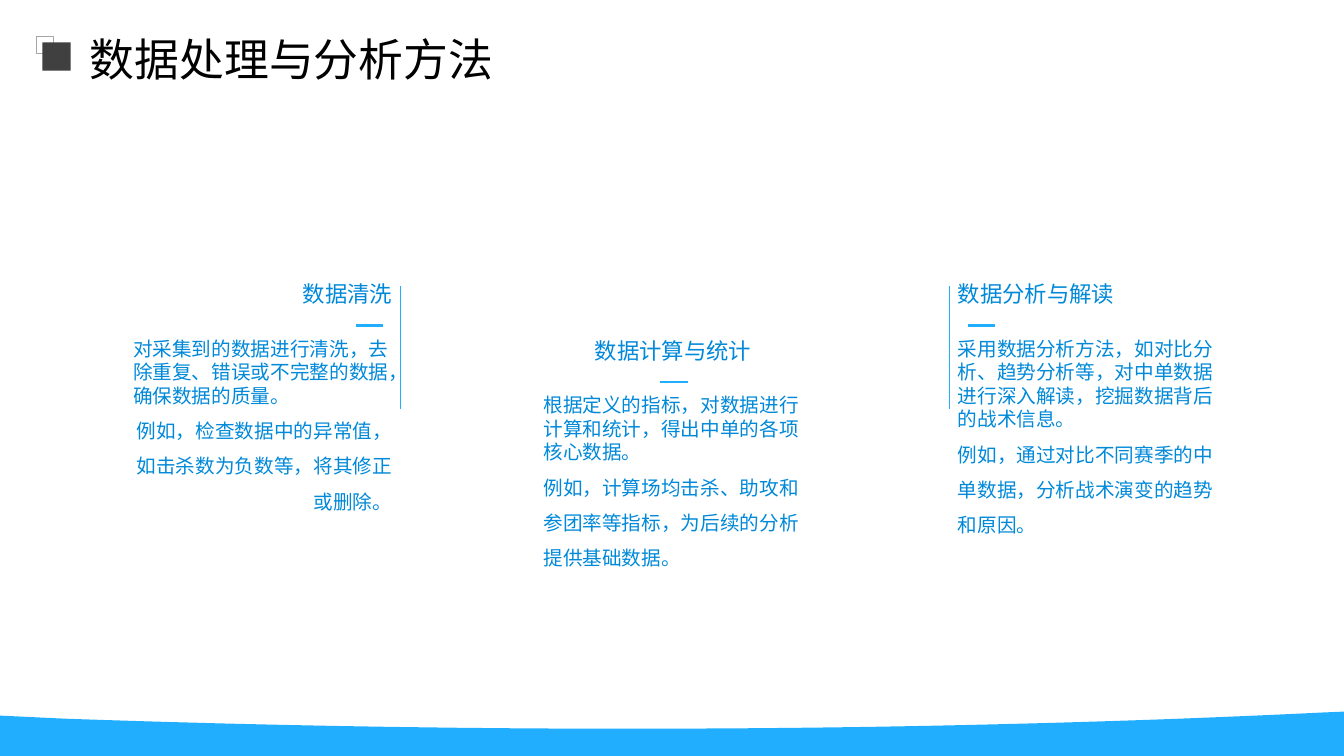
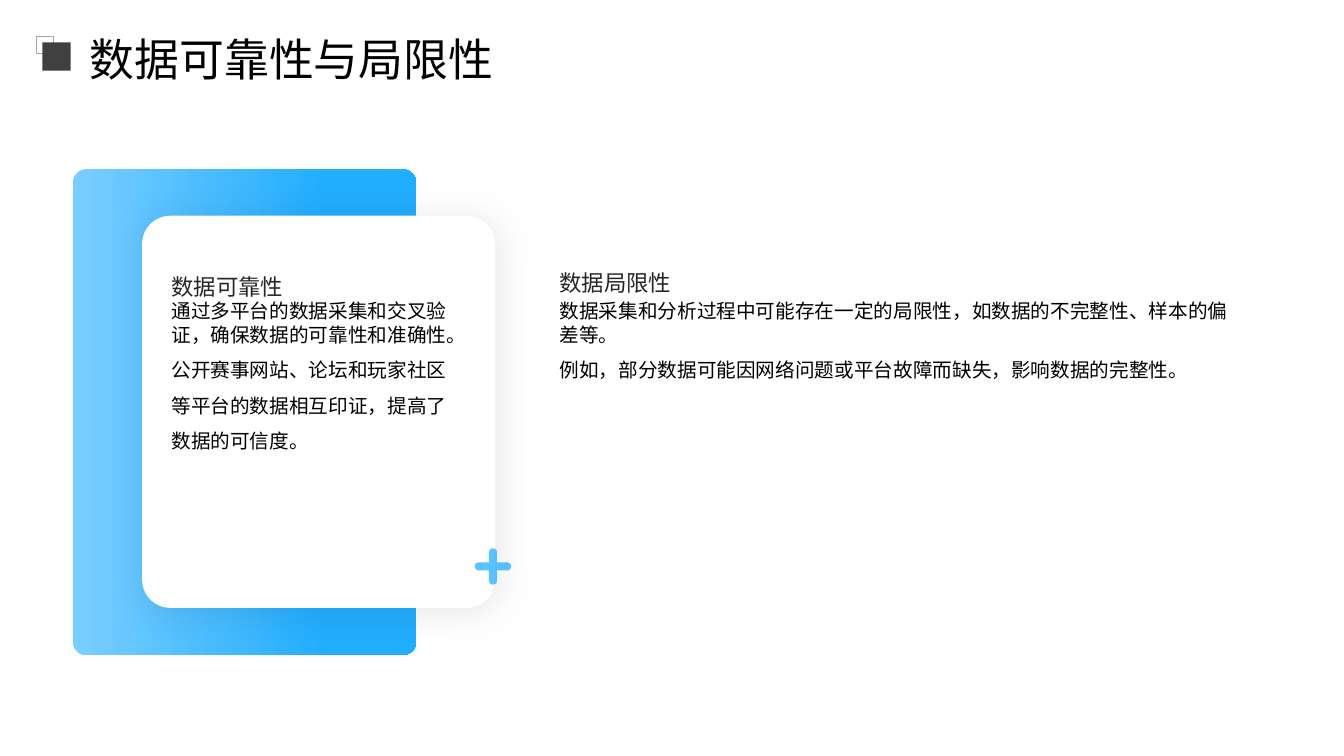
from dataclasses import dataclass
from math import cos, pi, sin

from lxml.etree import SubElement
from pptx import Presentation
from pptx.dml.color import RGBColor
from pptx.enum.shapes import MSO_CONNECTOR, MSO_SHAPE
from pptx.enum.text import MSO_ANCHOR as ANCHOR, MSO_AUTO_SIZE, PP_ALIGN as ALIGN
from pptx.oxml.ns import qn
from pptx.util import Inches, Pt


@dataclass(frozen=True)
class Theme:
    font: str = "Noto Sans CJK SC"
    blue: str = "22AEFF"
    light_blue: str = "7ACEFF"
    text_blue: str = "0089D9"
    black: str = "000000"
    white: str = "FFFFFF"
    heading: str = "262626"
    dark: str = "404040"
    gray: str = "A6A6A6"
    title_size: int = 32
    heading_size: int = 16
    body_size: int = 14


THEME = Theme()


def rgb(color):
    return RGBColor.from_string(color)


def bezier(p0, p1, p2, p3, steps=24):
    """Points along a cubic curve, without its start."""
    points = []
    for i in range(1, steps + 1):
        t = i / steps
        u = 1 - t
        points.append(tuple(
            u**3 * a + 3 * u * u * t * b + 3 * u * t * t * c + t**3 * d
            for a, b, c, d in zip(p0, p1, p2, p3)))
    return points


def write(tf, paragraphs, *, size, color, align=ALIGN.LEFT, anchor=ANCHOR.TOP,
          spacing=1.5, lead_spacing=None):
    """Fill a frame; with lead_spacing the first paragraph is a left-aligned lead."""
    tf.word_wrap = True
    tf.auto_size = MSO_AUTO_SIZE.NONE
    tf.vertical_anchor = anchor
    tf.margin_left = tf.margin_right = tf.margin_top = tf.margin_bottom = 0
    for i, text in enumerate(paragraphs):
        p = tf.add_paragraph() if i else tf.paragraphs[0]
        is_lead = i == 0 and lead_spacing is not None
        p.alignment = ALIGN.LEFT if is_lead else align
        p.line_spacing = lead_spacing if is_lead else spacing
        p.space_before = p.space_after = Pt(0)
        r = p.add_run()
        r.text = text
        r.font.size = Pt(size)
        r.font.color.rgb = rgb(color)
        r.font.name = THEME.font
        SubElement(r.font._element, qn("a:ea"), typeface=THEME.font)


class Deck:
    def __init__(self):
        self.prs = Presentation()
        self.prs.slide_width = Inches(13.33)
        self.prs.slide_height = Inches(7.5)
        self.s = None

    def new_slide(self, title):
        self.s = self.prs.slides.add_slide(self.prs.slide_layouts[5])
        sp = self.s.shapes.title
        sp.left, sp.top, sp.width, sp.height = map(Inches, (0.89, 0.29, 11.9, 0.47))
        write(sp.text_frame, [title], size=THEME.title_size, color=THEME.black,
              anchor=ANCHOR.MIDDLE, spacing=1.2)
        self.box(0.36, 0.36, 0.17, 0.17, line=THEME.gray)
        self.box(0.42, 0.42, 0.28, 0.28, fill=THEME.dark)

    def box(self, x, y, w, h, *, fill=None, line=None, radius=None):
        kind = MSO_SHAPE.RECTANGLE if radius is None else MSO_SHAPE.ROUNDED_RECTANGLE
        sp = self.s.shapes.add_shape(kind, *map(Inches, (x, y, w, h)))
        if radius is not None:
            sp.adjustments[0] = radius
        self.paint(sp, fill, line)
        return sp

    def paint(self, sp, fill, line=None):
        sp.shadow.inherit = False
        if fill:
            sp.fill.solid()
            sp.fill.fore_color.rgb = rgb(fill)
        else:
            sp.fill.background()
        if line:
            sp.line.color.rgb = rgb(line)
            sp.line.width = Pt(1)
        else:
            sp.line.fill.background()

    def gradient_box(self, x, y, w, h, *, stops, radius):
        sp = self.box(x, y, w, h, radius=radius)
        sp.fill.gradient()
        sp.fill.gradient_angle = 0
        for stop, (position, color) in zip(sp.fill.gradient_stops, stops):
            stop.position = position
            stop.color.rgb = rgb(color)

    def soft_card(self, x, y, w, h, *, radius):
        sp = self.box(x, y, w, h, fill=THEME.white, radius=radius)
        effects = sp._element.spPr.find(qn("a:effectLst"))
        shadow = SubElement(effects, qn("a:outerShdw"), blurRad=str(Pt(28)),
                            dist=str(Pt(3)), dir=str(45 * 60000),
                            algn="ctr", rotWithShape="0")
        color = SubElement(shadow, qn("a:srgbClr"), val=THEME.black)
        SubElement(color, qn("a:alpha"), val="10000")

    def line(self, x1, y1, x2, y2, width):
        cx = self.s.shapes.add_connector(MSO_CONNECTOR.STRAIGHT,
                                         *map(Inches, (x1, y1, x2, y2)))
        cx.line.color.rgb = rgb(THEME.blue)
        cx.line.width = Pt(width)
        SubElement(cx._element.spPr, qn("a:effectLst"))

    def outline(self, points, *, fill, alpha=None):
        start, *rest = [(Inches(x), Inches(y)) for x, y in points]
        builder = self.s.shapes.build_freeform(*start)
        builder.add_line_segments(rest, close=True)
        sp = builder.convert_to_shape()
        self.paint(sp, fill)
        if alpha is not None:
            color = sp._element.spPr.find(qn("a:solidFill"))[0]
            SubElement(color, qn("a:alpha"), val=str(alpha * 1000))

    def plus(self, cx, cy, reach, half):
        """Cross with round arm ends, reach from its centre and 2 * half thick."""
        points = []
        for quarter in range(4):
            a = quarter * pi / 2
            for i in range(13):
                t = a - pi / 2 + i * pi / 12
                points.append((cx + (reach - half) * cos(a) + half * cos(t),
                               cy + (reach - half) * sin(a) + half * sin(t)))
            points.append((cx + half * (cos(a) - sin(a)),
                           cy + half * (sin(a) + cos(a))))
        self.outline(points, fill=THEME.blue, alpha=75)

    def wave_band(self):
        left, low, right = (0.63, 7.13), (6.24, 7.23), (13.1, 7.07)
        self.outline([(13.33, 7.06), (13.33, 7.5), (0, 7.5), (0, 7.1), left,
                      *bezier(left, (2.35, 7.19), (4.25, 7.23), low),
                      *bezier(low, (8.72, 7.23), (11.06, 7.17), right)],
                     fill=THEME.blue)

    def text(self, x, y, w, h, paragraphs, **fmt):
        sp = self.s.shapes.add_textbox(*map(Inches, (x, y, w, h)))
        write(sp.text_frame, paragraphs, **fmt)

    def heading(self, x, y, w, h, text, *, color=THEME.heading, **fmt):
        self.text(x, y, w, h, [text], size=THEME.heading_size, color=color, **fmt)

    def body(self, x, y, w, h, paragraphs, *, color=THEME.black, **fmt):
        self.text(x, y, w, h, paragraphs, size=THEME.body_size, color=color,
                  lead_spacing=1.0, **fmt)


# text left, top, dash left, rule x, heading alignment, body alignment, heading, body
METHODS = [
    (1.32, 2.57, 3.53, 3.97, ALIGN.RIGHT, ALIGN.RIGHT, "数据清洗",
     ["对采集到的数据进行清洗，去除重复、错误或不完整的数据，确保数据的质量。",
      "例如，检查数据中的异常值，如击杀数为负数等，将其修正或删除。"]),
    (5.39, 3.13, 6.55, None, ALIGN.CENTER, ALIGN.LEFT, "数据计算与统计",
     ["根据定义的指标，对数据进行计算和统计，得出中单的各项核心数据。",
      "例如，计算场均击杀、助攻和参团率等指标，为后续的分析提供基础数据。"]),
    (9.5, 2.57, 9.6, 9.42, ALIGN.LEFT, ALIGN.LEFT, "数据分析与解读",
     ["采用数据分析方法，如对比分析、趋势分析等，对中单数据进行深入解读，挖掘数据背后的战术信息。",
      "例如，通过对比不同赛季的中单数据，分析战术演变的趋势和原因。"]),
]


def methods_slide(deck):
    deck.new_slide("数据处理与分析方法")
    deck.wave_band()
    for x, y, dash_x, rule_x, head_align, body_align, head, body in METHODS:
        deck.line(dash_x, y + 0.66, dash_x + 0.27, y + 0.66, 2)
        if rule_x is not None:
            deck.line(rule_x, y + 0.27, rule_x, y + 1.49, 0.75)
        deck.heading(x, y, 2.57, 0.56, head, color=THEME.text_blue,
                     align=head_align, anchor=ANCHOR.MIDDLE)
        deck.body(x, y + 0.77, 2.57, 2.95, body, color=THEME.text_blue,
                  align=body_align)


def reliability_slide(deck):
    deck.new_slide("数据可靠性与局限性")
    deck.gradient_box(0.72, 1.68, 3.41, 4.82, radius=0.04,
                      stops=[(0, THEME.light_blue), (0.73, THEME.blue)])
    deck.soft_card(1.41, 2.14, 3.5, 3.89, radius=0.08)
    deck.heading(1.7, 2.3, 2.91, 0.68, "数据可靠性", anchor=ANCHOR.BOTTOM)
    deck.body(1.7, 2.97, 2.91, 2.64, [
        "通过多平台的数据采集和交叉验证，确保数据的可靠性和准确性。",
        "公开赛事网站、论坛和玩家社区等平台的数据相互印证，提高了数据的可信度。"])
    deck.plus(4.89, 5.62, 0.18, 0.04)
    deck.heading(5.55, 2.6, 6.75, 0.27, "数据局限性", anchor=ANCHOR.MIDDLE)
    deck.body(5.55, 2.97, 6.75, 3.36, [
        "数据采集和分析过程中可能存在一定的局限性，如数据的不完整性、样本的偏差等。",
        "例如，部分数据可能因网络问题或平台故障而缺失，影响数据的完整性。"])


def main():
    deck = Deck()
    methods_slide(deck)
    reliability_slide(deck)
    deck.prs.save("out.pptx")


if __name__ == "__main__":
    main()
